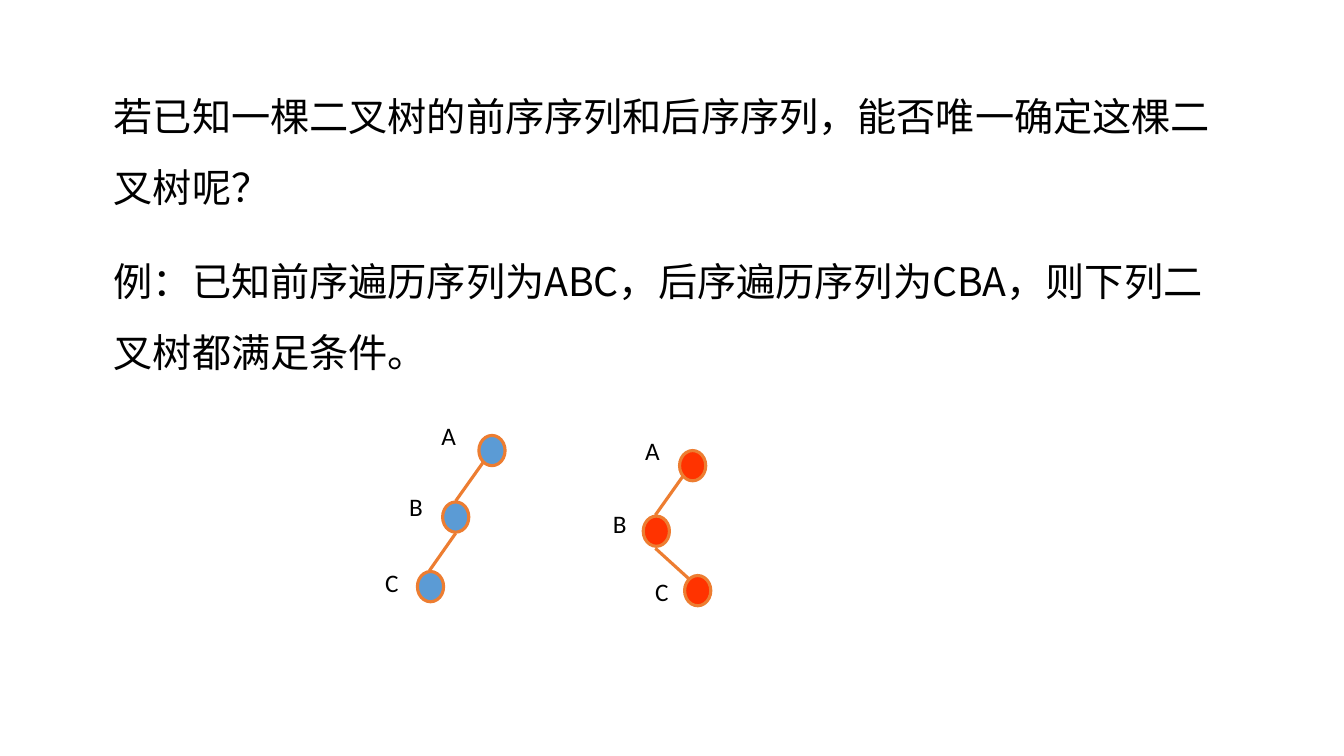
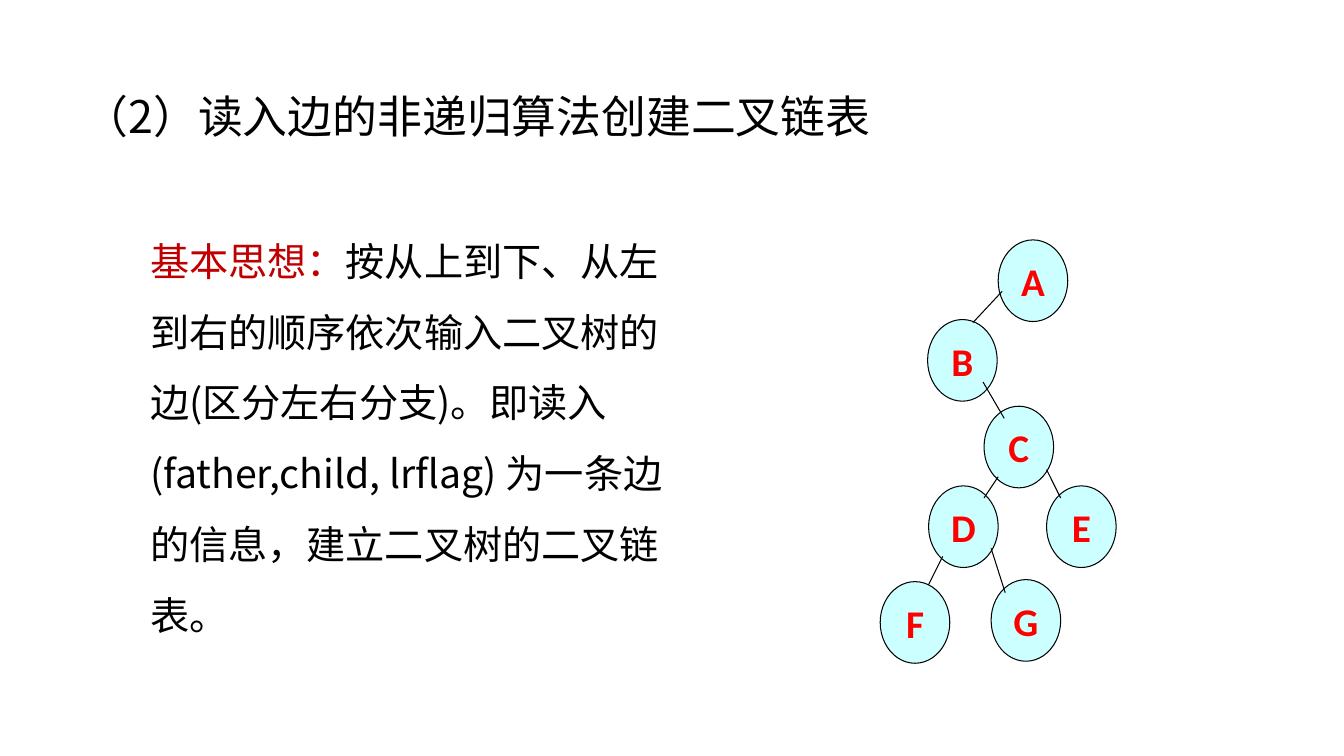
from typing import NamedTuple

from lxml.etree import SubElement
from pptx import Presentation
from pptx.dml.color import RGBColor
from pptx.enum.shapes import MSO_CONNECTOR, MSO_SHAPE
from pptx.enum.text import MSO_ANCHOR, PP_ALIGN
from pptx.oxml.ns import qn
from pptx.shapes.group import GroupShape
from pptx.slide import Slide
from pptx.text.text import TextFrame
from pptx.util import Inches, Length, Pt

BLACK = RGBColor(0x00, 0x00, 0x00)
CRIMSON = RGBColor(0xC0, 0x00, 0x00)
RED = RGBColor(0xFF, 0x00, 0x00)
SCARLET = RGBColor(0xFF, 0x33, 0x00)
BLUE = RGBColor(0x5B, 0x9B, 0xD5)
ORANGE = RGBColor(0xED, 0x7D, 0x31)
PALE_CYAN = RGBColor(0xCC, 0xFF, 0xFF)

CHINESE_FONT = "Noto Sans CJK SC"
LATIN_FONT = "Calibri"
BODY_LINE = Pt(50.5)

WIDTH, HEIGHT = Inches(13.33), Inches(7.5)
COLUMNS, ROWS = 1333, 750


class Box(NamedTuple):
    column: int
    row: int
    columns: int
    rows: int


class Run(NamedTuple):
    text: str
    color: RGBColor = BLACK


class Node(NamedTuple):
    label: str
    column: int
    row: int


class Edge(NamedTuple):
    start_column: int
    start_row: int
    end_column: int
    end_row: int


class TreeStyle(NamedTuple):
    columns: int
    rows: int
    fill: RGBColor
    line: RGBColor
    line_width: float
    labels_inside: bool


class Tree(NamedTuple):
    column: int
    row: int
    style: TreeStyle
    nodes: list[Node]
    edges: list[Edge]
    outer_labels: list[Node] = []


BLUE_STYLE = TreeStyle(26, 30, BLUE, ORANGE, 2.25, False)
SCARLET_STYLE = BLUE_STYLE._replace(fill=SCARLET)
LETTER_STYLE = TreeStyle(69, 81, PALE_CYAN, BLACK, 0.75, True)

LEFT_CHAIN = Tree(
    475, 432, BLUE_STYLE,
    [Node("A", 0, 0), Node("B", -36, 66), Node("C", -61, 135)],
    [Edge(4, 27, -23, 65), Edge(-23, 97, -49, 134)],
    [Node("A", -47, -20), Node("B", -79, 51), Node("C", -103, 126)],
)
BENT_CHAIN = Tree(
    674, 447, SCARLET_STYLE,
    [Node("A", 0, 0), Node("B", -36, 65), Node("C", 5, 124)],
    [Edge(3, 26, -24, 64), Edge(-24, 97, 9, 127)],
    [Node("A", -44, -20), Node("B", -76, 52), Node("C", -34, 120)],
)
LETTER_TREE = Tree(
    873, 238, LETTER_STYLE,
    [
        Node("A", 117, 0), Node("B", 47, 79), Node("C", 103, 165),
        Node("D", 48, 244), Node("E", 165, 244),
        Node("F", 0, 339), Node("G", 110, 337),
    ],
    [
        Edge(121, 51, 92, 82), Edge(102, 141, 123, 177),
        Edge(117, 235, 103, 256), Edge(165, 228, 179, 256),
        Edge(62, 314, 48, 342), Edge(110, 306, 124, 350),
    ],
)


def across(columns: float) -> Length:
    return Length(round(WIDTH * columns / COLUMNS))


def down(rows: float) -> Length:
    return Length(round(HEIGHT * rows / ROWS))


def write_text(
    frame: TextFrame,
    runs: list[Run],
    *,
    size: float,
    font: str = CHINESE_FONT,
    bold: bool = False,
    align: PP_ALIGN = PP_ALIGN.LEFT,
    anchor: MSO_ANCHOR = MSO_ANCHOR.TOP,
    line_spacing: float | Length = 1.0,
    indent: int = 0,
    wrap: bool = True,
) -> None:
    frame.word_wrap = wrap
    frame.vertical_anchor = anchor
    paragraph = frame.paragraphs[0]
    paragraph.alignment = align
    paragraph.line_spacing = line_spacing
    if indent:
        paragraph._p.get_or_add_pPr().set("marL", str(across(indent)))
    for item in runs:
        run = paragraph.add_run()
        run.text = item.text
        run.font.size = Pt(size)
        run.font.bold = bold
        run.font.color.rgb = item.color
        run.font.name = font
        SubElement(run.font._element, qn("a:ea")).set("typeface", font)


def add_text(slide: Slide, box: Box, runs: list[Run], **text_format) -> None:
    shape = slide.shapes.add_textbox(
        across(box.column), down(box.row), across(box.columns), down(box.rows)
    )
    write_text(shape.text_frame, runs, **text_format)


def add_node(group: GroupShape, tree: Tree, node: Node) -> None:
    style = tree.style
    shape = group.shapes.add_shape(
        MSO_SHAPE.OVAL,
        across(tree.column + node.column), down(tree.row + node.row),
        across(style.columns), down(style.rows),
    )
    shape.shadow.inherit = False
    shape.fill.solid()
    shape.fill.fore_color.rgb = style.fill
    shape.line.color.rgb = style.line
    shape.line.width = Pt(style.line_width)
    if style.labels_inside:
        write_text(
            shape.text_frame, [Run(node.label, RED)], size=28, font=LATIN_FONT,
            bold=True, align=PP_ALIGN.CENTER, anchor=MSO_ANCHOR.MIDDLE, wrap=False,
        )


def add_edge(group: GroupShape, tree: Tree, edge: Edge) -> None:
    connector = group.shapes.add_connector(
        MSO_CONNECTOR.STRAIGHT,
        across(tree.column + edge.start_column), down(tree.row + edge.start_row),
        across(tree.column + edge.end_column), down(tree.row + edge.end_row),
    )
    connector.line.color.rgb = tree.style.line
    connector.line.width = Pt(tree.style.line_width)
    SubElement(connector._element.spPr, qn("a:effectLst"))


def add_tree(slide: Slide, tree: Tree) -> None:
    group = slide.shapes.add_group_shape()
    for node in tree.nodes:
        add_node(group, tree, node)
    for edge in tree.edges:
        add_edge(group, tree, edge)
    for label in tree.outer_labels:
        box = Box(tree.column + label.column, tree.row + label.row, 39, 40)
        add_text(slide, box, [Run(label.label)], size=18, font=LATIN_FONT)


def build_question(slide: Slide) -> None:
    statements = [
        (63, "若已知一棵二叉树的前序序列和后序序列，能否唯一确定这棵二叉树呢？"),
        (227, "例：已知前序遍历序列为ABC，后序遍历序列为CBA，则下列二叉树都满足条件。"),
    ]
    for row, text in statements:
        add_text(
            slide, Box(103, row, 1131, 151), [Run(text)],
            size=28, line_spacing=BODY_LINE,
        )
    for tree in (LEFT_CHAIN, BENT_CHAIN):
        add_tree(slide, tree)


def build_algorithm(slide: Slide) -> None:
    add_text(
        slide, Box(73, 46, 1150, 145), [Run("（2）读入边的非递归算法创建二叉链表")],
        size=32, anchor=MSO_ANCHOR.MIDDLE, line_spacing=0.9,
    )
    idea = [
        Run("基本思想：", CRIMSON),
        Run(
            "按从上到下、从左到右的顺序依次输入二叉树的边(区分左右分支)。"
            "即读入 (father,child, lrflag) 为一条边的信息，建立二叉树的二叉链表。"
        ),
    ]
    add_text(
        slide, Box(114, 207, 577, 480), idea,
        size=28, line_spacing=BODY_LINE, indent=25,
    )
    add_tree(slide, LETTER_TREE)


def main() -> None:
    presentation = Presentation()
    presentation.slide_width = WIDTH
    presentation.slide_height = HEIGHT
    blank_layout = presentation.slide_layouts[6]
    for build in (build_question, build_algorithm):
        build(presentation.slides.add_slide(blank_layout))
    presentation.save("out.pptx")


if __name__ == "__main__":
    main()
